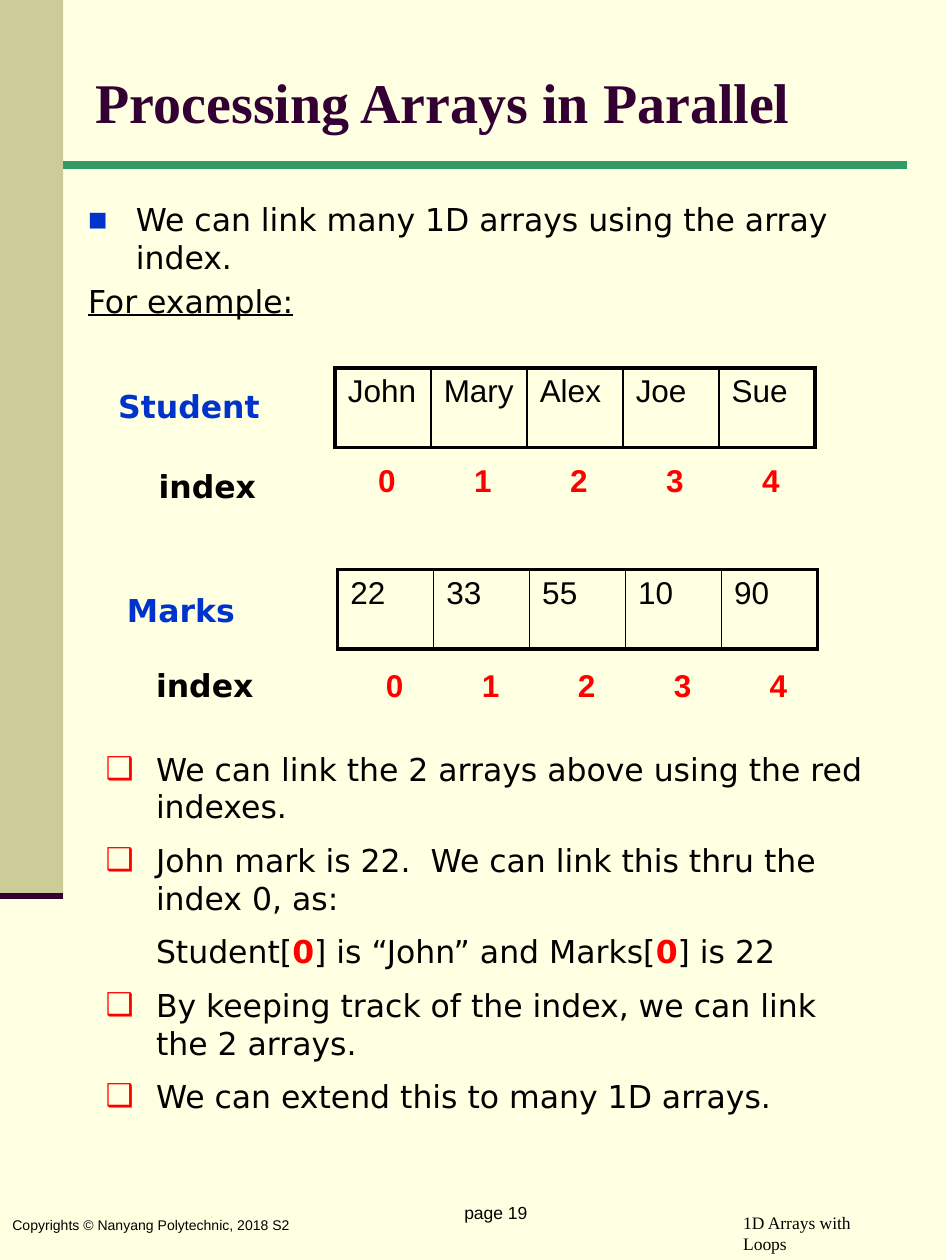
"""Build the slide on processing arrays in parallel."""
from lxml import etree
from pptx import Presentation
from pptx.dml.color import RGBColor
from pptx.enum.shapes import MSO_CONNECTOR, MSO_SHAPE
from pptx.enum.text import MSO_ANCHOR, PP_ALIGN
from pptx.oxml.ns import qn
from pptx.util import Inches, Pt

STRAIGHT, RECTANGLE = MSO_CONNECTOR.STRAIGHT, MSO_SHAPE.RECTANGLE
LEFT, CENTER = PP_ALIGN.LEFT, PP_ALIGN.CENTER
TOP, MIDDLE = MSO_ANCHOR.TOP, MSO_ANCHOR.MIDDLE
SANS, ARIAL, SERIF = "DejaVu Sans", "Arial", "Times New Roman"
CREAM, BLACK, PLUM, BLUE, RED = "FFFFE1", "000000", "330033", "0033CC", "FF0000"
color = RGBColor.from_string

presentation = Presentation()
presentation.slide_width, presentation.slide_height = Inches(7.5), Inches(10)
slide = presentation.slides.add_slide(presentation.slide_layouts[6])
slide.background.fill.solid()
slide.background.fill.fore_color.rgb = color(CREAM)


def place(left, top, width, height):
    """Turn percentages of the slide into lengths."""
    across, down = presentation.slide_width / 100, presentation.slide_height / 100
    return round(left * across), round(top * down), round(width * across), round(height * down)


def write(frame, text, size=18, font=SANS, ink=BLACK, bold=False, underline=False, align=LEFT,
          before=0, margin=0, bullet=None, bullet_ink=RED, bullet_size=100, accent="0"):
    """Add a paragraph to a frame; parts between bars are bold and red."""
    paragraph = frame.paragraphs[0]
    if paragraph.runs:
        paragraph = frame.add_paragraph()
        paragraph.space_before = Pt(before)
    paragraph.alignment = align
    properties = paragraph._p.get_or_add_pPr()
    if margin:
        properties.set("marL", str(Inches(margin)))
    if bullet:
        properties.set("indent", str(-Inches(margin)))
        ink_element = etree.SubElement(properties, qn("a:buClr"))
        etree.SubElement(ink_element, qn("a:srgbClr"), val=bullet_ink)
        etree.SubElement(properties, qn("a:buSzPct"), val=str(bullet_size * 1000))
        etree.SubElement(properties, qn("a:buFont"), typeface=SANS)
        etree.SubElement(properties, qn("a:buChar"), char=bullet)
    for number, part in enumerate(text.split("|")):
        run = paragraph.add_run()
        run.text = part
        run.font.name, run.font.size = font, Pt(size)
        run.font.bold = bold or number % 2 == 1
        run.font.underline = underline
        run.font.color.rgb = color(RED if number % 2 else ink)


sidebar = slide.shapes.add_shape(RECTANGLE, *place(0, 0, 6.67, 71.1))
sidebar.shadow.inherit = False
sidebar.fill.solid()
sidebar.fill.fore_color.rgb = color("CCCC99")
sidebar.line.fill.background()

for start, end, height, ink, weight in [(0, 6.67, 71.1, PLUM, 3.5), (6.67, 96, 13.1, "339966", 4.5)]:
    left, top, width, _ = place(start, height, end - start, 0)
    rule = slide.shapes.add_connector(STRAIGHT, left, top, left + width, top)
    rule.line.color.rgb = color(ink)
    rule.line.width = Pt(weight)
    etree.SubElement(rule._element.spPr, qn("a:effectLst"))

label = {"bold": True}
name = {"bold": True, "ink": BLUE}
step = {"before": 9, "margin": 0.4}
check = {**step, "bullet": "❑"}
square = {"margin": 0.38, "bullet": "■", "bullet_ink": BLUE, "bullet_size": 65}
text_boxes = [
    ((0, 94.4, 65.07, 5.6), MIDDLE,
     [("Copyrights © Nanyang Polytechnic, 2018 S2", {"size": 8, "font": ARIAL})]),
    ((38.4, 94.9, 28.13, 3), TOP, [("page 19", {"size": 10, "font": ARIAL, "align": CENTER})]),
    ((77.33, 95.7, 18.8, 2.7), TOP, [("1D Arrays with Loops", {"size": 10, "font": SERIF})]),
    ((8.8, 3.4, 88.27, 9.3), MIDDLE,
     [("Processing Arrays in Parallel", {"size": 32, "font": SERIF, "ink": PLUM, "bold": True})]),
    ((8, 15.4, 86.67, 12), TOP,
     [("We can link many 1D arrays using the array index.", square),
      ("For example:", {"before": 3.6, "underline": True})]),
    ((11.2, 30.2, 22.27, 4), TOP, [("Student", name)]),
    ((12.13, 46.4, 22.27, 4), TOP, [("Marks", name)]),
    ((15.47, 36.6, 15.73, 4), TOP, [("index", label)]),
    ((15.2, 52.4, 15.73, 4), TOP, [("index", label)]),
    ((9.87, 59, 84.4, 35.6), TOP,
     [("We can link the 2 arrays above using the red indexes.", check),
      ("John mark is 22.  We can link this thru the index 0, as:", check),
      ("Student[|0|] is “John” and Marks[|0|] is 22", step),
      ("By keeping track of the index, we can link the 2 arrays.", check),
      ("We can extend this to many 1D arrays.", check)]),
]
for area, anchor, paragraphs in text_boxes:
    frame = slide.shapes.add_textbox(*place(*area)).text_frame
    frame.word_wrap = True
    frame.vertical_anchor = anchor
    for text, style in paragraphs:
        write(frame, text, **style)

value_style = {"font": ARIAL}
index_style = {"font": ARIAL, "ink": RED, "bold": True, "align": CENTER}
indexes = range(5)
tables = [
    (35.47, 29.2, 6.3, ["John", "Mary", "Alex", "Joe", "Sue"], value_style, BLACK, 2.25),
    (35.73, 45.2, 6.3, [22, 33, 55, 10, 90], value_style, BLACK, 2.25),
    (36.67, 52.6, 4.2, indexes, index_style, CREAM, 1),
    (35.87, 36.3, 4.2, indexes, index_style, CREAM, 1),
]
for left, top, height, values, style, border, outer in tables:
    table = slide.shapes.add_table(1, len(values), *place(left, top, 50.8, height)).table
    table.first_row = table.horz_banding = False
    for column, value in enumerate(values):
        cell = table.cell(0, column)
        write(cell.text_frame, str(value), **style)
        properties = cell._tc.get_or_add_tcPr()
        widths = {"L": 1 if column else outer, "R": 1 if column < len(values) - 1 else outer,
                  "T": outer, "B": outer}
        for side, width in widths.items():
            line = etree.SubElement(properties, qn(f"a:ln{side}"), w=str(Pt(width)))
            fill = etree.SubElement(line, qn("a:solidFill"))
            etree.SubElement(fill, qn("a:srgbClr"), val=border)
        cell.fill.background()

presentation.save("out.pptx")
